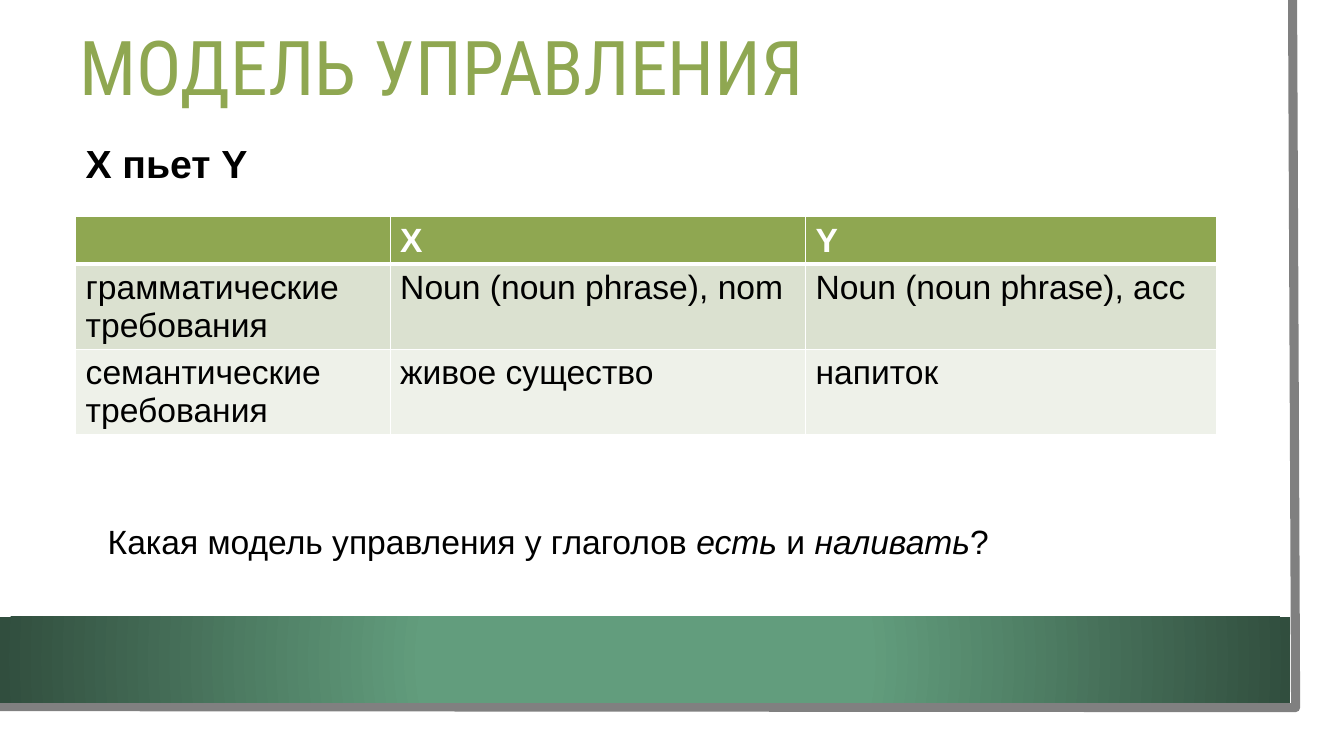
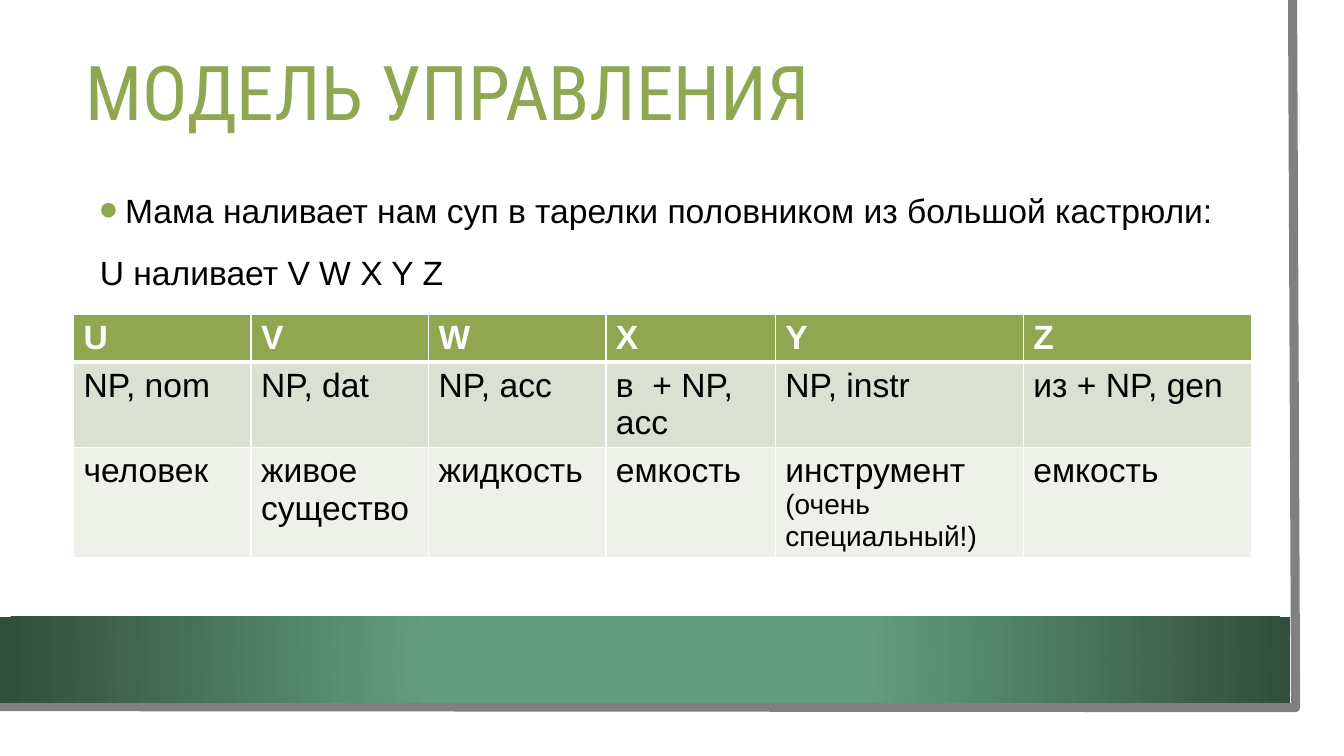
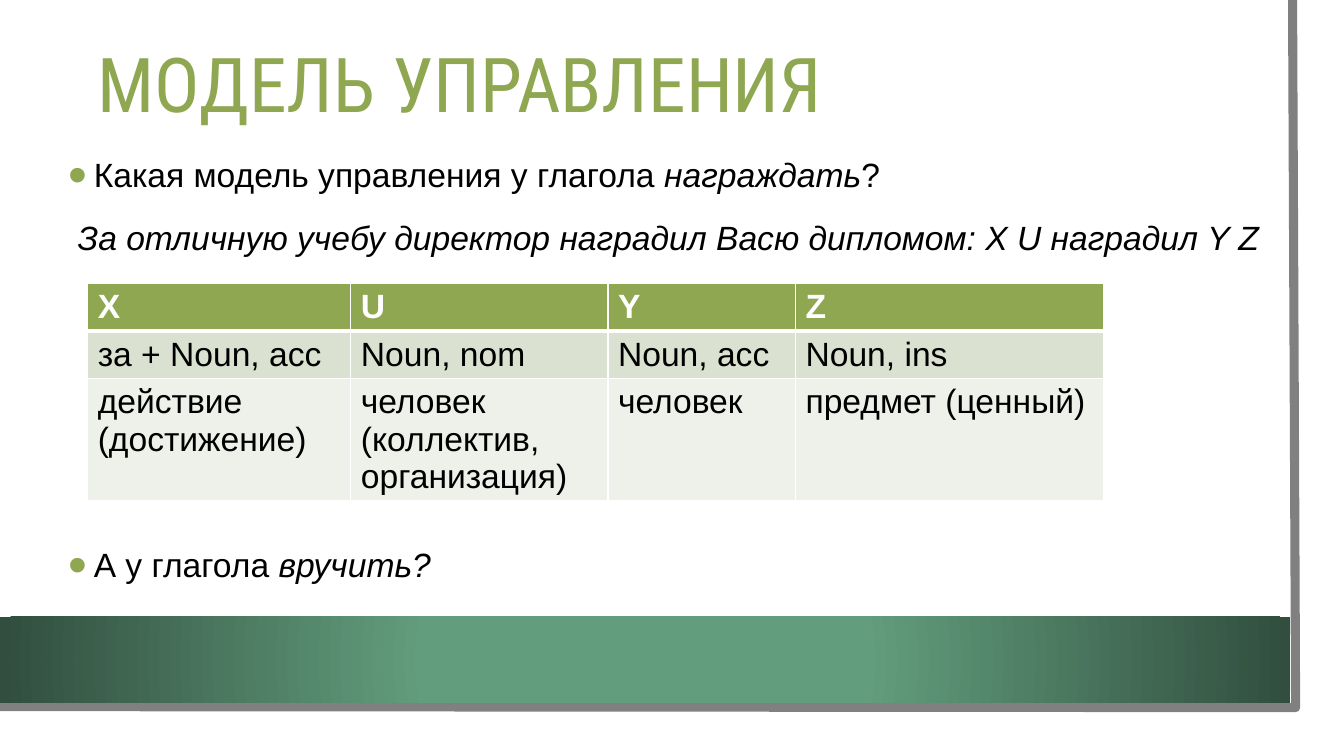
from lxml.etree import SubElement
from pptx import Presentation
from pptx.dml.color import RGBColor
from pptx.enum.shapes import MSO_SHAPE
from pptx.enum.text import MSO_ANCHOR, MSO_AUTO_SIZE, PP_ALIGN
from pptx.oxml.ns import qn
from pptx.util import Inches, Pt

OLIVE = RGBColor(0x8F, 0xA7, 0x51)
PALE = RGBColor(0xDB, 0xE1, 0xD0)
PALER = RGBColor(0xEE, 0xF1, 0xE9)
GREEN = RGBColor(0x62, 0x9D, 0x7D)
DARK_GREEN = RGBColor(0x31, 0x4E, 0x3E)
GRAY = RGBColor(0x80, 0x80, 0x80)
BLACK = RGBColor(0, 0, 0)
WHITE = RGBColor(0xFF, 0xFF, 0xFF)

TITLE = "МОДЕЛЬ УПРАВЛЕНИЯ"
TITLE_SIZE = (11.37, 1.26)
TITLE_FONT, TEXT_FONT = "Roboto Condensed", "Arial"
ROW_FILLS = [OLIVE, PALE, PALER]
TITLE_ONLY, ONE_LIST, TWO_LISTS = 5, 1, 3
ITALIC = {"italic": True}

PAGES = [
    {
        "layout": TITLE_ONLY,
        "title_at": (0.69, 0.07),
        "lists": [],
        "lines": [
            ((0.75, 1.33, 4.34, 0.57), [("X пьет Y", {"size": 28, "bold": True})]),
            ((0.97, 5.12, 9.95, 0.5), [
                ("Какая модель управления у глаголов ", {}), ("есть ", ITALIC),
                ("и ", {}), ("наливать", ITALIC), ("?", {})]),
        ],
        "table_at": (0.75, 2.15),
        "columns": [3.12, 4.12, 4.08],
        "rows": [0.46, 0.84, 0.84],
        "cells": [
            ["", "X", "Y"],
            ["грамматические требования", "Noun (noun phrase), nom", "Noun (noun phrase), acc"],
            ["семантические требования", "живое существо", "напиток"],
        ],
    },
    {
        "layout": ONE_LIST,
        "title_at": (0.75, 0.32),
        "lists": [
            ((0.89, 1.77, 11.37, 1.16), [
                ("bullet", [("Мама наливает нам суп в тарелки половником из большой кастрюли:", {})]),
                ("plain", [("U наливает V W X Y Z", {})])]),
        ],
        "lines": [],
        "table_at": (0.73, 3.12),
        "columns": [1.76, 1.76, 1.76, 1.68, 2.46, 2.26],
        "rows": [0.46, 0.84, 1.09],
        "cells": [
            ["U", "V", "W", "X", "Y", "Z"],
            ["NP, nom", "NP, dat", "NP, acc", "в  + NP, acc", "NP, instr", "из + NP, gen"],
            ["человек", "живое существо", "жидкость", "емкость",
             [("инструмент ", {}), ("(очень специальный!)", {"size": 20})], "емкость"],
        ],
    },
    {
        "layout": TWO_LISTS,
        "title_at": (0.87, 0.24),
        "lists": [
            ((0.58, 1.36, 12.07, 1.28), [
                ("bullet", [("Какая модель управления у глагола ", {}), ("награждать", ITALIC), ("?", {})]),
                ("shifted", [("За отличную учебу директор наградил Васю дипломом: X U наградил Y Z", ITALIC)])]),
            ((0.58, 4.92, 11.37, 1.28), [
                ("bullet", [("А у глагола", {}), (" вручить?", ITALIC)])]),
        ],
        "lines": [],
        "table_at": (0.87, 2.81),
        "columns": [2.61, 2.55, 1.86, 3.06],
        "rows": [0.46, 0.46, 1.21],
        "cells": [
            ["X", "U", "Y", "Z"],
            ["за + Noun, acc", "Noun, nom", "Noun, acc", "Noun, ins"],
            ["действие (достижение)", "человек (коллектив, организация)", "человек", "предмет (ценный)"],
        ],
    },
]


def place(shape, left, top, width, height):
    shape.left, shape.top = Inches(left), Inches(top)
    shape.width, shape.height = Inches(width), Inches(height)


def write(para, spans, color=BLACK, font=TEXT_FONT, size=24, bold=False):
    for text, changes in spans:
        span = para.add_run()
        span.text = text
        span.font.name = font
        span.font.color.rgb = color
        span.font.size = Pt(changes.get("size", size))
        span.font.bold = changes.get("bold", bold)
        span.font.italic = changes.get("italic", False)


def set_frame(frame):
    frame.word_wrap = True
    frame.auto_size = MSO_AUTO_SIZE.NONE
    frame.vertical_anchor = MSO_ANCHOR.MIDDLE


def add_frame_to_master(deck, page):
    paper = page.shapes.add_shape(MSO_SHAPE.RECTANGLE, 0, 0, Inches(13.1), Inches(7.27))
    paper.fill.solid()
    paper.fill.fore_color.rgb = WHITE
    paper.line.fill.background()

    outline = page.shapes.build_freeform(Inches(12.82), 0)
    outline.add_line_segments(
        [(Inches(12.85), Inches(7.02)), (Inches(-0.03), Inches(7.01))], close=False)
    edge = outline.convert_to_shape()
    edge.fill.background()
    edge.line.color.rgb = GRAY
    edge.line.width = Pt(6.5)

    band = page.shapes.add_shape(
        MSO_SHAPE.RECTANGLE, 0, Inches(6.12), Inches(12.8), Inches(0.85))
    band.line.fill.background()
    band.fill.gradient()
    for stop, position, color in zip(band.fill.gradient_stops, (0.34, 1), (GREEN, DARK_GREEN)):
        stop.position = position
        stop.color.rgb = color
    gradient = band.element.find(".//" + qn("a:gradFill"))
    gradient.remove(gradient.find(qn("a:lin")))
    circle = SubElement(gradient, qn("a:path"), path="circle")
    SubElement(circle, qn("a:fillToRect"), l="50000", t="50000", r="50000", b="50000")

    for index, shape in enumerate((paper, edge, band), 2):
        shape.shadow.inherit = False
        deck.slide_master.shapes.element.insert(index, shape.element)


def add_title(page, left, top):
    title = page.shapes.title
    place(title, left, top, *TITLE_SIZE)
    set_frame(title.text_frame)
    para = title.text_frame.paragraphs[0]
    para.alignment = PP_ALIGN.LEFT
    para.line_spacing = 0.9
    write(para, [(TITLE, {})], OLIVE, TITLE_FONT, 54)


def set_marker(para, kind):
    margins = {"bullet": (0.25, -0.25), "plain": (0, 0), "shifted": (0.09, 0)}
    properties = para._p.get_or_add_pPr()
    for name, value in zip(("marL", "indent"), margins[kind]):
        properties.set(name, str(Inches(value)))
    if kind != "bullet":
        SubElement(properties, qn("a:buNone"))
        return
    color = SubElement(properties, qn("a:buClr"))
    SubElement(color, qn("a:srgbClr"), val=str(OLIVE))
    SubElement(properties, qn("a:buSzPct"), val="160000")
    SubElement(properties, qn("a:buFont"), typeface=TEXT_FONT)
    SubElement(properties, qn("a:buChar"), char="•")


def fill_list(body, bounds, items):
    place(body, *bounds)
    frame = body.text_frame
    set_frame(frame)
    for index, (kind, spans) in enumerate(items):
        para = frame.add_paragraph() if index else frame.paragraphs[0]
        para.line_spacing = 1.2
        para.space_before = Pt(10)
        set_marker(para, kind)
        write(para, spans)


def add_line(page, bounds, spans):
    box = page.shapes.add_textbox(*map(Inches, bounds))
    box.text_frame.word_wrap = True
    write(box.text_frame.paragraphs[0], spans)


def set_borders(cell, row):
    widths = {"lnL": 1, "lnR": 1, "lnT": 3 if row == 1 else 1, "lnB": 3 if row == 0 else 1}
    properties = cell._tc.get_or_add_tcPr()
    for name, width in widths.items():
        line = SubElement(properties, qn("a:" + name), w=str(Pt(width)))
        SubElement(SubElement(line, qn("a:solidFill")), qn("a:srgbClr"), val=str(WHITE))


def add_grid(page, corner, columns, rows, cells):
    bounds = (*corner, sum(columns), sum(rows))
    table = page.shapes.add_table(len(rows), len(columns), *map(Inches, bounds)).table
    for column, width in zip(table.columns, columns):
        column.width = Inches(width)
    for row, (height, texts) in enumerate(zip(rows, cells)):
        table.rows[row].height = Inches(height)
        for column, text in enumerate(texts):
            cell = table.cell(row, column)
            set_borders(cell, row)
            cell.fill.solid()
            cell.fill.fore_color.rgb = ROW_FILLS[row]
            spans = [(text, {})] if isinstance(text, str) else text
            if text:
                write(cell.text_frame.paragraphs[0], spans,
                      BLACK if row else WHITE, bold=row == 0)


def main():
    deck = Presentation()
    deck.slide_width, deck.slide_height = Inches(13.33), Inches(7.5)
    for number, content in enumerate(PAGES):
        page = deck.slides.add_slide(deck.slide_layouts[content["layout"]])
        if number == 0:
            add_frame_to_master(deck, page)
        add_title(page, *content["title_at"])
        bodies = list(page.placeholders)[1:]
        for body, (bounds, items) in zip(bodies, content["lists"]):
            fill_list(body, bounds, items)
        add_grid(page, content["table_at"], content["columns"], content["rows"], content["cells"])
        for bounds, spans in content["lines"]:
            add_line(page, bounds, spans)
    deck.save("out.pptx")


if __name__ == "__main__":
    main()
